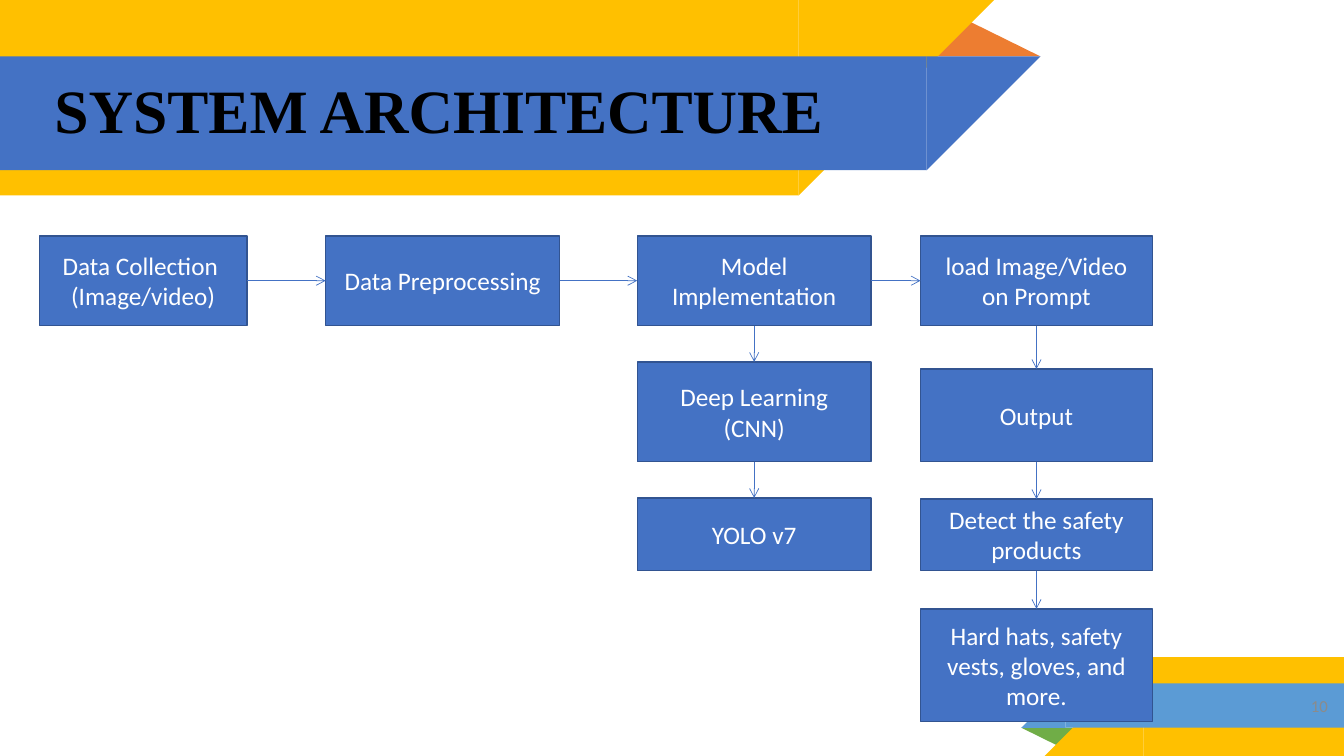
from dataclasses import dataclass
from itertools import pairwise

import pptx
import pptx.dml.color
import pptx.enum.shapes
import pptx.enum.text
import pptx.oxml
import pptx.oxml.ns
import pptx.util
from pptx.util import Inches

SHAPE = pptx.enum.shapes.MSO_SHAPE
ALIGN = pptx.enum.text.PP_ALIGN
ANCHOR = pptx.enum.text.MSO_ANCHOR
BLUE, YELLOW, ORANGE = "4472C4", "FFC000", "ED7D31"
SKY, GREEN, OUTLINE = "5B9BD5", "70AD47", "325491"
TOP, LEFT, BOTTOM, RIGHT = range(4)  # connection sites of a rectangle


@dataclass
class Band:
    """A bar with a slanted end, or a small fold behind the bars."""
    kind: pptx.enum.shapes.MSO_SHAPE
    left: float
    top: float
    width: float
    height: float
    color: str
    rotation: int = 0


@dataclass
class Step:
    text: str
    top: float
    height: float


@dataclass
class Column:
    left: float
    width: float
    steps: list[Step]


HEADER = [
    Band(SHAPE.ISOSCELES_TRIANGLE, 9.18, 0.18, 1.14, 0.38, ORANGE),
    Band(SHAPE.RECTANGLE, 0, 0, 7.92, 1.94, YELLOW),
    Band(SHAPE.RIGHT_TRIANGLE, 7.92, 0, 1.94, 1.94, YELLOW, 90),
    Band(SHAPE.RECTANGLE, 0, 0.56, 9.19, 1.13, BLUE),
    Band(SHAPE.RIGHT_TRIANGLE, 9.19, 0.56, 1.13, 1.13, BLUE, 90),
]
FOOTER = [
    Band(SHAPE.ISOSCELES_TRIANGLE, 10.13, 7.22, 0.57, 0.19, GREEN, 180),
    Band(SHAPE.RECTANGLE, 11.34, 6.52, 2, 0.98, YELLOW),
    Band(SHAPE.RIGHT_TRIANGLE, 10.36, 6.52, 0.98, 0.98, YELLOW, 270),
    Band(SHAPE.RECTANGLE, 10.57, 6.78, 2.77, 0.44, SKY),
    Band(SHAPE.RIGHT_TRIANGLE, 10.13, 6.78, 0.44, 0.44, SKY, 270),
]
ROW_TOP, ROW_HEIGHT = 2.34, 0.89
COLUMNS = [
    Column(0.39, 2.06, [Step("Data Collection \n(Image/video)", ROW_TOP, ROW_HEIGHT)]),
    Column(3.23, 2.32, [Step("Data Preprocessing", ROW_TOP, ROW_HEIGHT)]),
    Column(6.32, 2.32, [
        Step("Model Implementation", ROW_TOP, ROW_HEIGHT),
        Step("Deep Learning (CNN)", 3.59, 0.99),
        Step("YOLO v7", 4.94, 0.72),
    ]),
    Column(9.13, 2.3, [
        Step("load Image/Video on Prompt", ROW_TOP, ROW_HEIGHT),
        Step("Output", 3.66, 0.92),
        Step("Detect the safety products", 4.95, 0.71),
        Step("Hard hats, safety vests, gloves, and more.", 6.04, 1.12),
    ]),
]


def rgb(color: str) -> pptx.dml.color.RGBColor:
    return pptx.dml.color.RGBColor.from_string(color)


def write(shape, text: str, *, size: float = 18, font: str = "Calibri",
          color: str = "FFFFFF", bold: bool = False, align=ALIGN.CENTER,
          spacing: float = 1.0) -> None:
    frame = shape.text_frame
    frame.text = text
    frame.word_wrap = True
    frame.auto_size = pptx.enum.text.MSO_AUTO_SIZE.NONE
    frame.vertical_anchor = ANCHOR.MIDDLE
    for paragraph in frame.paragraphs:
        paragraph.alignment = align
        paragraph.line_spacing = spacing
        for run in paragraph.runs:
            run.font.size = pptx.util.Pt(size)
            run.font.name = font
            run.font.bold = bold
            run.font.color.rgb = rgb(color)


def add_filled(shapes, kind, left: float, top: float, width: float,
               height: float, color: str):
    shape = shapes.add_shape(kind, Inches(left), Inches(top), Inches(width), Inches(height))
    shape.shadow.inherit = False
    shape.fill.solid()
    shape.fill.fore_color.rgb = rgb(color)
    shape.line.fill.background()
    return shape


def add_bands(slide, bands: list[Band]) -> None:
    group = slide.shapes.add_group_shape()
    for band in bands:
        shape = add_filled(group.shapes, band.kind, band.left, band.top,
                           band.width, band.height, band.color)
        shape.rotation = band.rotation
        if band.kind == SHAPE.ISOSCELES_TRIANGLE:
            shape.adjustments[0] = 0.324


def add_step(slide, column: Column, step: Step):
    box = add_filled(slide.shapes, SHAPE.RECTANGLE, column.left, step.top,
                     column.width, step.height, BLUE)
    box.line.color.rgb = rgb(OUTLINE)
    box.line.width = pptx.util.Pt(1)
    write(box, step.text)
    return box


def add_arrow(slide, source, source_site: int, target, target_site: int) -> None:
    arrow = slide.shapes.add_connector(pptx.enum.shapes.MSO_CONNECTOR.STRAIGHT, 0, 0, 0, 0)
    arrow.begin_connect(source, source_site)
    arrow.end_connect(target, target_site)
    arrow.line.color.rgb = rgb(BLUE)
    arrow.line.width = pptx.util.Pt(0.5)
    namespace = pptx.oxml.ns.nsdecls("a")
    arrow.line._get_or_add_ln().append(
        pptx.oxml.parse_xml(f'<a:tailEnd {namespace} type="arrow"/>'))
    arrow.element.spPr.append(pptx.oxml.parse_xml(f"<a:effectLst {namespace}/>"))


def add_title(slide) -> None:
    title = slide.shapes.title
    title.left, title.top = Inches(0.44), Inches(0.57)
    title.width, title.height = Inches(8.82), Inches(1.12)
    write(title, "SYSTEM ARCHITECTURE", size=44, font="Times New Roman",
          color="000000", bold=True, align=ALIGN.LEFT, spacing=0.9)
    frame = title.text_frame
    frame.margin_left = frame.margin_right = Inches(0.1)
    frame.margin_top = frame.margin_bottom = Inches(0.1)
    # Bring the title in front of the header bands
    title.element.getparent().append(title.element)


def main() -> None:
    presentation = pptx.Presentation()
    presentation.slide_width = Inches(13.33)
    presentation.slide_height = Inches(7.5)
    slide = presentation.slides.add_slide(presentation.slide_layouts[5])

    # Bands, title and page number
    add_bands(slide, HEADER)
    add_bands(slide, FOOTER)
    add_title(slide)
    number = slide.shapes.add_textbox(Inches(12.4), Inches(6.8), Inches(0.87), Inches(0.4))
    write(number, "10", size=12, color="8B8B8B", align=ALIGN.RIGHT)

    # Flowchart boxes
    chains = [[add_step(slide, column, step) for step in column.steps]
              for column in COLUMNS]

    # Arrows across the top row, then down each column
    for current, following in pairwise(chains):
        add_arrow(slide, current[0], RIGHT, following[0], LEFT)
    for chain in chains:
        for upper, lower in pairwise(chain):
            add_arrow(slide, upper, BOTTOM, lower, TOP)

    presentation.save("out.pptx")


if __name__ == "__main__":
    main()
